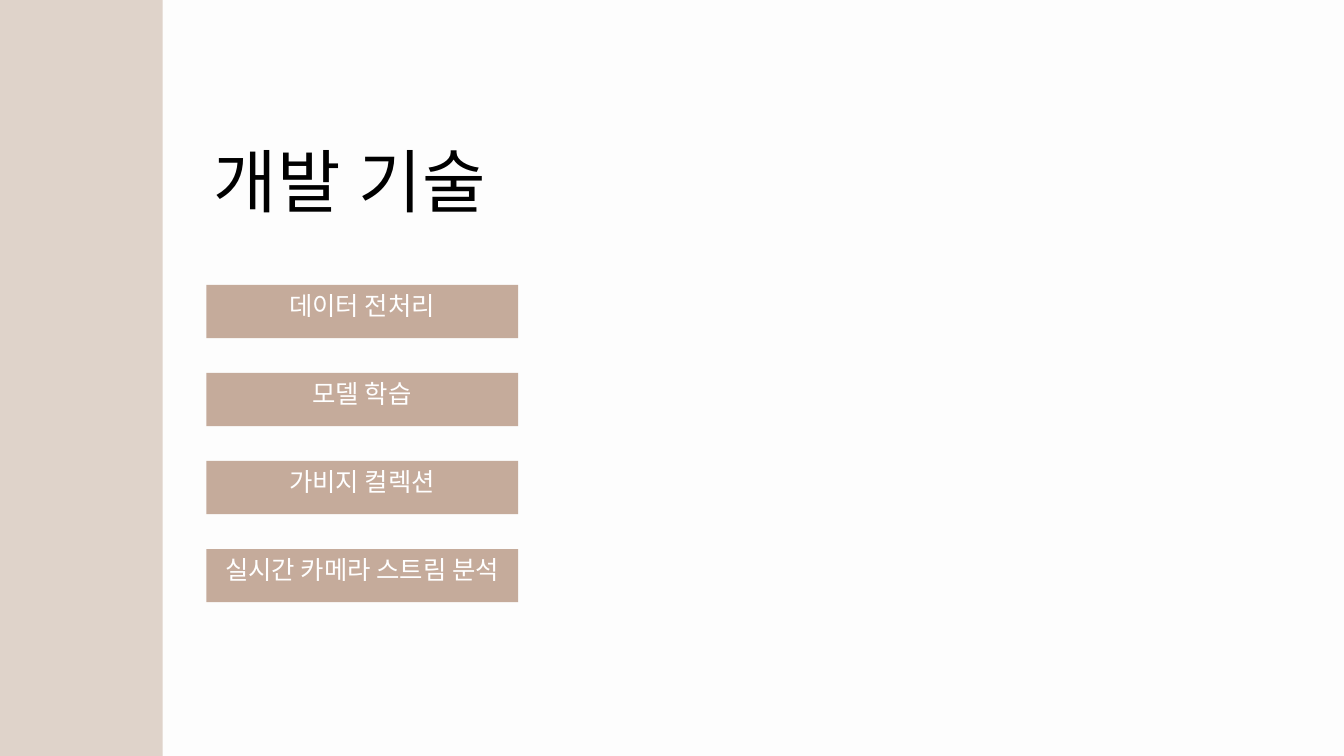
"""Build the development skills slide with its title and four labelled bars."""
from dataclasses import dataclass

from pptx import Presentation
from pptx.dml.color import RGBColor
from pptx.enum.shapes import MSO_SHAPE
from pptx.enum.text import MSO_ANCHOR, MSO_AUTO_SIZE, PP_ALIGN
from pptx.slide import Slide
from pptx.util import Emu, Pt

RECT = MSO_SHAPE.RECTANGLE
TOP, MIDDLE = MSO_ANCHOR.TOP, MSO_ANCHOR.MIDDLE
NO_FIT, GROW = MSO_AUTO_SIZE.NONE, MSO_AUTO_SIZE.SHAPE_TO_FIT_TEXT
CENTER = PP_ALIGN.CENTER
PX = 9144


@dataclass(frozen=True)
class Theme:
    paper: str = "FDFDFD"
    side: str = "DFD3CA"
    bar: str = "C5AB9B"
    ink: str = "000000"
    light: str = "FFFFFF"
    head_font: str = "Roboto"
    bar_font: str = "Vollkorn"
    head_size: float = 73.9
    head_line: float = 103.5
    bar_size: float = 27.2
    bar_line: float = 38


@dataclass(frozen=True)
class Box:
    left: int
    top: int
    width: int
    height: int

    def emu(self) -> tuple[Emu, ...]:
        sides = (self.left, self.top, self.width, self.height)
        return tuple(Emu(side * PX) for side in sides)


@dataclass(frozen=True)
class Bar:
    label: str
    box: Box


THEME = Theme()
LABELS = ("데이터 전처리", "모델 학습", "가비지 컬렉션", "실시간 카메라 스트림 분석")
FIRST, PITCH, RISE = 424, 131, 25
BARS = [Bar(label, Box(307, FIRST + row * PITCH, 464, 79))
        for row, label in enumerate(LABELS)]


def draw_rect(slide: Slide, box: Box, color: str) -> None:
    shape = slide.shapes.add_shape(RECT, *box.emu())
    shape.shadow.inherit = False
    shape.fill.solid()
    shape.fill.fore_color.rgb = RGBColor.from_string(color)
    shape.line.fill.background()


def draw_text(slide: Slide, text: str, box: Box, *, font: str, size: float,
              line: float, color: str, anchor: MSO_ANCHOR = TOP,
              fit: MSO_AUTO_SIZE = NO_FIT, track: int = 0) -> None:
    frame = slide.shapes.add_textbox(*box.emu()).text_frame
    frame.word_wrap = True
    frame.auto_size = fit
    frame.vertical_anchor = anchor
    frame.margin_left = frame.margin_right = 0
    frame.margin_top = frame.margin_bottom = 0
    para = frame.paragraphs[0]
    para.alignment = CENTER
    para.line_spacing = Pt(line)
    run = para.add_run()
    run.text = text
    run.font.name = font
    run.font.size = Pt(size)
    run.font.color.rgb = RGBColor.from_string(color)
    if track:
        run.font._element.set("spc", str(track))


def draw_bar(slide: Slide, bar: Bar) -> None:
    box = bar.box
    draw_rect(slide, box, THEME.bar)
    area = Box(box.left, box.top - RISE, box.width, box.height + RISE)
    draw_text(slide, bar.label, area, font=THEME.bar_font,
              size=THEME.bar_size, line=THEME.bar_line,
              color=THEME.light, anchor=MIDDLE)


def main() -> None:
    deck = Presentation()
    deck.slide_width, deck.slide_height = Emu(2000 * PX), Emu(1125 * PX)
    slide = deck.slides.add_slide(deck.slide_layouts[6])
    slide.background.fill.solid()
    slide.background.fill.fore_color.rgb = RGBColor.from_string(THEME.paper)
    for bar in BARS:
        draw_bar(slide, bar)
    draw_text(slide, "개발 기술", Box(0, 185, 1042, 140),
              font=THEME.head_font, size=THEME.head_size,
              line=THEME.head_line, color=THEME.ink, fit=GROW, track=100)
    draw_rect(slide, Box(-96, 0, 338, 1125), THEME.side)
    deck.save("out.pptx")


if __name__ == "__main__":
    main()
